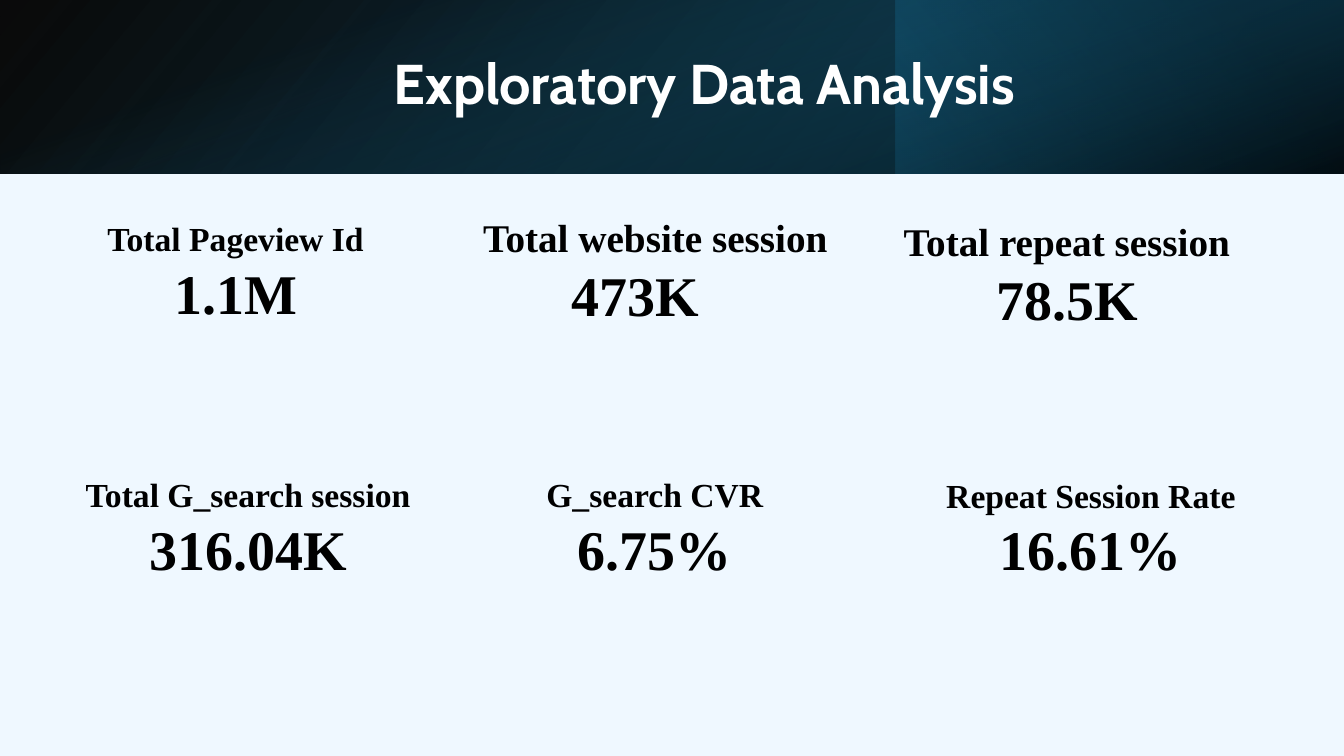
from dataclasses import dataclass

from lxml import etree
from pptx import Presentation
from pptx.dml.color import RGBColor
from pptx.enum.shapes import MSO_SHAPE
from pptx.enum.text import MSO_ANCHOR, MSO_AUTO_SIZE, PP_ALIGN
from pptx.oxml.ns import qn
from pptx.slide import Slide
from pptx.util import Pt

RECT = MSO_SHAPE.RECTANGLE
CENTER = PP_ALIGN.CENTER
TOP, MIDDLE = MSO_ANCHOR.TOP, MSO_ANCHOR.MIDDLE
FIT, FIXED = MSO_AUTO_SIZE.SHAPE_TO_FIT_TEXT, MSO_AUTO_SIZE.NONE


@dataclass(frozen=True)
class Theme:
    """Colours, fonts and type sizes of the slide."""
    paper: str = "EFF8FF"
    ink: str = "000000"
    white: str = "FFFFFF"
    navy: str = "0B3041"
    deep: str = "104862"
    teal: str = "156082"
    head_font: str = "Cabin"
    body_font: str = "Times New Roman"
    big: float = 40
    label: float = 24
    wide: float = 28


@dataclass(frozen=True)
class Box:
    """A place on the slide, in points."""
    left: float
    top: float
    width: float
    height: float


@dataclass(frozen=True)
class Stop:
    """A gradient stop, with place and opacity in percent."""
    place: float
    color: str
    alpha: float = 100


@dataclass(frozen=True)
class Band:
    """A shaded layer of the header."""
    box: Box
    first: Stop
    last: Stop
    angle: float
    turn: float = 0
    flip: bool = False


@dataclass(frozen=True)
class Line:
    """One paragraph, with its type size and right indent in points."""
    text: str
    size: float
    indent: float = 0


@dataclass(frozen=True)
class Metric:
    """A label above its value."""
    box: Box
    label: Line
    value: Line


THEME = Theme()
WIDTH, HEIGHT, HEAD = 960, 540, 124
TALL, TALLER = 85, 90

BANDS = [
    Band(Box(0, 0, WIDTH, HEAD), Stop(0, THEME.ink, 96),
         Stop(100, THEME.deep), 140, flip=True),
    Band(Box(WIDTH * 2 / 3, 0, WIDTH / 3, HEAD), Stop(19, THEME.navy, 68),
         Stop(100, THEME.teal, 79), 320, turn=180),
    Band(Box((WIDTH - HEAD) / 2, (HEAD - WIDTH) / 2, HEAD, WIDTH),
         Stop(23, THEME.teal, 0), Stop(99, THEME.ink, 74), 340, turn=90),
]

METRICS = [
    Metric(Box(55.5, 152, 225.5, TALL), Line("Total Pageview Id", THEME.label),
           Line("1.1M", THEME.big)),
    Metric(Box(315.5, 149, 305, TALLER),
           Line("Total website session", THEME.wide),
           Line("473K", THEME.big, 28)),
    Metric(Box(620.5, 152, 290, TALLER),
           Line("Total repeat session", THEME.wide, 7),
           Line("78.5K", THEME.big)),
    Metric(Box(47, 335, 260.5, TALL),
           Line("Total G_search session", THEME.label),
           Line("316.04K", THEME.big)),
    Metric(Box(366.5, 335, 202.5, TALL), Line("G_search CVR", THEME.label),
           Line("6.75%", THEME.big)),
    Metric(Box(659, 335.5, 240.5, TALL),
           Line("Repeat Session Rate", THEME.label),
           Line("16.61%", THEME.big)),
]


def place(box: Box) -> tuple[Pt, Pt, Pt, Pt]:
    """Return the box as four lengths."""
    return Pt(box.left), Pt(box.top), Pt(box.width), Pt(box.height)


def add_band(slide: Slide, band: Band) -> None:
    """Draw one gradient layer of the header."""
    shape = slide.shapes.add_shape(RECT, *place(band.box))
    shape.shadow.inherit = False
    shape.line.fill.background()
    shape.rotation = band.turn
    if band.flip:
        shape.element.spPr.find(qn("a:xfrm")).set("flipH", "1")
    shape.fill.gradient()
    shape.fill.gradient_angle = 360 - band.angle
    stops = (band.first, band.last)
    for mark, stop in zip(shape.fill.gradient_stops, stops):
        mark.position = stop.place / 100
        mark.color.rgb = RGBColor.from_string(stop.color)
    for color, stop in zip(shape.element.spPr.iter(qn("a:srgbClr")), stops):
        alpha = etree.SubElement(color, qn("a:alpha"))
        alpha.set("val", str(int(stop.alpha * 1000)))


def add_text(slide: Slide, box: Box, lines: list[Line], *,
             font: str = THEME.body_font, color: str = THEME.ink,
             anchor: MSO_ANCHOR = TOP, fit: MSO_AUTO_SIZE = FIT,
             space: float = 1, after: float = 0) -> None:
    """Write centred bold lines in a text box."""
    frame = slide.shapes.add_textbox(*place(box)).text_frame
    frame.word_wrap = True
    frame.auto_size = fit
    frame.vertical_anchor = anchor
    for index, line in enumerate(lines):
        para = frame.add_paragraph() if index else frame.paragraphs[0]
        para.alignment = CENTER
        para.line_spacing = space
        para.space_after = Pt(after)
        if line.indent:
            para._p.get_or_add_pPr().set("marR", str(Pt(line.indent)))
        run = para.add_run()
        run.text = line.text
        run.font.name = font
        run.font.size = Pt(line.size)
        run.font.bold = True
        run.font.color.rgb = RGBColor.from_string(color)


def main() -> None:
    """Build and save the slide."""
    deck = Presentation()
    deck.slide_width, deck.slide_height = Pt(WIDTH), Pt(HEIGHT)
    slide = deck.slides.add_slide(deck.slide_layouts[6])
    slide.background.fill.solid()
    slide.background.fill.fore_color.rgb = RGBColor.from_string(THEME.paper)
    for band in BANDS:
        add_band(slide, band)
    add_text(slide, Box(108, 27.5, 790.5, 69),
             [Line("Exploratory Data Analysis", THEME.big)],
             font=THEME.head_font, color=THEME.white, anchor=MIDDLE,
             fit=FIXED, space=0.9, after=6)
    for metric in METRICS:
        add_text(slide, metric.box, [metric.label, metric.value])
    deck.save("out.pptx")


if __name__ == "__main__":
    main()
